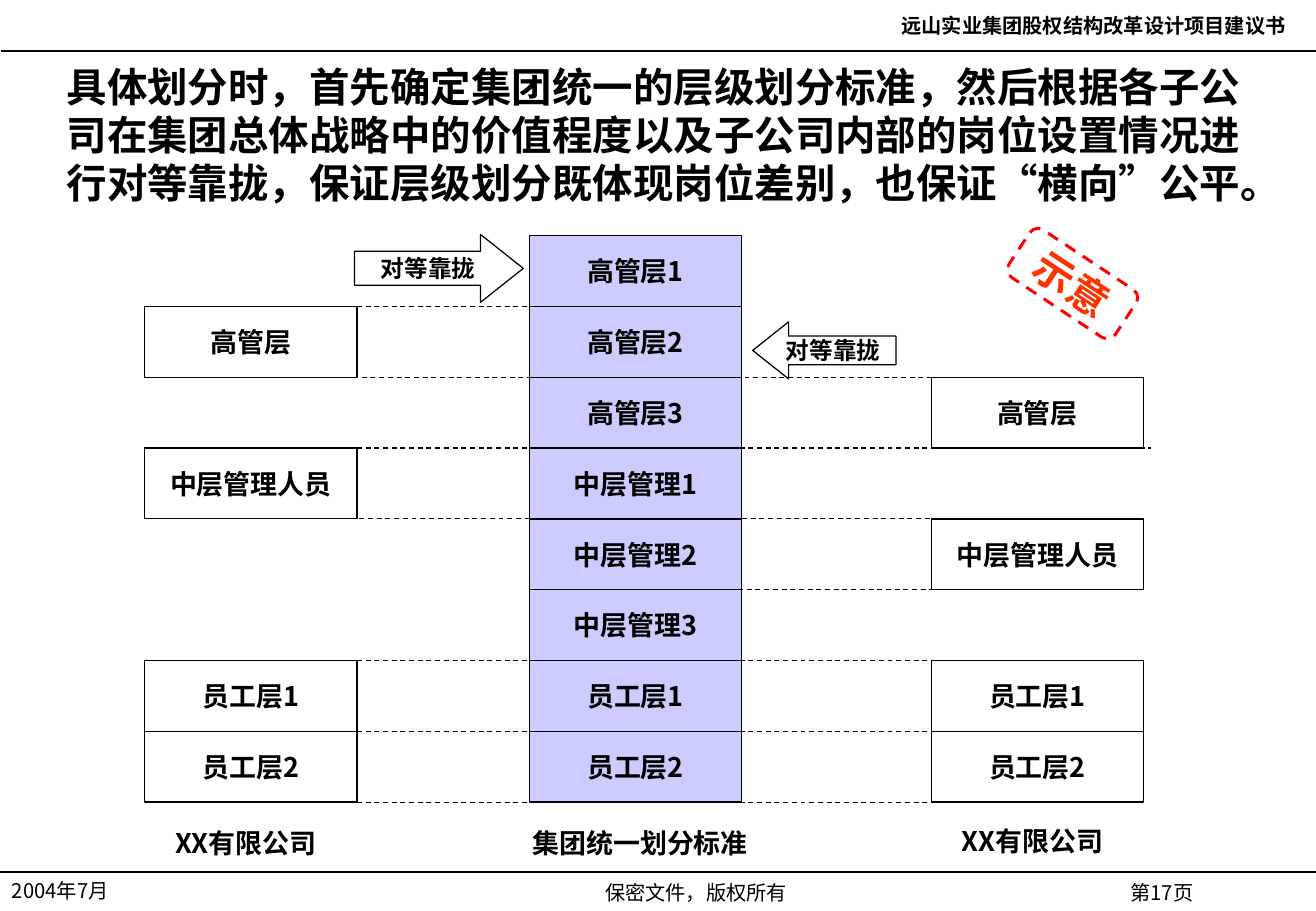
import pptx
import pptx.util
import pptx.oxml.ns
import pptx.dml.color
import pptx.enum.dml
import pptx.enum.shapes
import pptx.enum.text
import lxml.etree

INCH = pptx.util.Inches
SHAPE = pptx.enum.shapes.MSO_SHAPE
ALIGN = pptx.enum.text.PP_ALIGN
DASH = pptx.enum.dml.MSO_LINE.DASH
HUES = {"ink": "000000", "band": "CCCCFF", "edge": "FF0000", "stamp": "FF3300"}
SANS, SERIF = "Noto Sans CJK SC", "Times New Roman"

WIDE, HIGH = 10.84, 7.5
COLS = {"left": 1.19, "mid": 4.36, "right": 7.67}
CELL = 1.75
TOP, ROW = 1.94, 0.583

TIERS = {
    "left": {1: "高管层", 3: "中层管理人员", 6: "员工层1", 7: "员工层2"},
    "mid": dict(enumerate(["高管层1", "高管层2", "高管层3", "中层管理1",
                           "中层管理2", "中层管理3", "员工层1", "员工层2"])),
    "right": {2: "高管层", 4: "中层管理人员", 6: "员工层1", 7: "员工层2"},
}
LINKS = [(1, 2.94, 5.23), (2, 2.98, 7.7), (3, 2.94, 9.48), (4, 2.96, 7.68),
         (5, 4.36, 7.83), (6, 2.94, 7.67), (7, 2.94, 7.67), (8, 2.94, 7.67)]
FEET = [("mid", 4.19, 6.76, "集团统一划分标准"), ("left", 0.94, 6.76, "XX有限公司"),
        ("right", 7.42, 6.74, "XX有限公司")]
TITLE = ("具体划分时，首先确定集团统一的层级划分标准，然后根据各子公司在集团总体战略中的"
         "价值程度以及子公司内部的岗位设置情况进行对等靠拢，保证层级划分既体现岗位差别，"
         "也保证“横向”公平。")


def hue(name):
    return pptx.dml.color.RGBColor.from_string(HUES[name])


def write(frame, text, size, bold=True, face=SANS, tone="ink", align=ALIGN.CENTER):
    frame.text = text
    para = frame.paragraphs[0]
    para.alignment = align
    run = para.runs[0]
    font = run.font
    font.name, font.size, font.bold = face, pptx.util.Pt(size), bold
    font.color.rgb = hue(tone)
    east = lxml.etree.SubElement(font._element, pptx.oxml.ns.qn("a:ea"))
    east.set("typeface", SANS)
    return para


def label(slide, x, y, w, h, text, size, **style):
    box = slide.shapes.add_textbox(INCH(x), INCH(y), INCH(w), INCH(h))
    box.text_frame.word_wrap = True
    write(box.text_frame, text, size, **style)
    return box.text_frame


def block(slide, kind, x, y, w, h, text, size=16, fill=None, line="ink", **style):
    item = slide.shapes.add_shape(kind, INCH(x), INCH(y), INCH(w), INCH(h))
    item.shadow.inherit = False
    if fill:
        item.fill.solid()
        item.fill.fore_color.rgb = hue(fill)
    else:
        item.fill.background()
    item.line.color.rgb = hue(line)
    item.line.width = pptx.util.Pt(0.75)
    frame = item.text_frame
    frame.word_wrap = False
    frame.vertical_anchor = pptx.enum.text.MSO_ANCHOR.MIDDLE
    write(frame, text, size, **style)
    return item


def rule(slide, x, y, end, dash=False):
    line = slide.shapes.add_connector(pptx.enum.shapes.MSO_CONNECTOR.STRAIGHT,
                                      INCH(x), INCH(y), INCH(end), INCH(y))
    line.line.color.rgb = hue("ink")
    line.line.width = pptx.util.Pt(0.75)
    if dash:
        line.line.dash_style = DASH
    lxml.etree.SubElement(line._element.spPr, pptx.oxml.ns.qn("a:effectLst"))


def arrow(slide, kind, x, y, w, h):
    item = block(slide, kind, x, y, w, h, "对等靠拢", 14)
    item.adjustments[0] = 0.5
    item.adjustments[1] = 0.63


def frame_page(slide):
    rule(slide, 0, 7.18, WIDE)
    rule(slide, 0.01, 0.42, WIDE)
    label(slide, 6.9, 0.06, 3.79, 0.3, "远山实业集团股权结构改革设计项目建议书", 12,
          align=ALIGN.RIGHT)
    label(slide, 0, 7.18, 1.81, 0.3, "2004年7月", 12, bold=False, align=ALIGN.LEFT)
    label(slide, 2.8, 7.2, 5.87, 0.3, "保密文件，版权所有", 12, bold=False, face=SERIF)
    label(slide, 8.76, 7.2, 1.62, 0.34, "第17页", 12, bold=False)
    head = label(slide, 0.45, 0.52, 9.92, 1.18, TITLE, 24, face=SERIF, align=ALIGN.LEFT)
    head.vertical_anchor = pptx.enum.text.MSO_ANCHOR.MIDDLE
    head.paragraphs[0].line_spacing = pptx.util.Pt(28.5)


def main():
    deck = pptx.Presentation()
    deck.slide_width, deck.slide_height = INCH(WIDE), INCH(HIGH)
    slide = deck.slides.add_slide(deck.slide_layouts[6])
    frame_page(slide)
    for side, tiers in TIERS.items():
        fill = "band" if side == "mid" else None
        for row, text in tiers.items():
            block(slide, SHAPE.RECTANGLE, COLS[side], TOP + row * ROW, CELL, ROW,
                  text, fill=fill)
    for side, x, y, text in FEET:
        label(slide, x, y, 2.17, 0.37, text, 16)
    arrow(slide, SHAPE.RIGHT_ARROW, 2.92, 1.93, 1.39, 0.56)
    arrow(slide, SHAPE.LEFT_ARROW, 6.2, 2.65, 1.18, 0.47)
    for row, start, end in LINKS:
        rule(slide, start, TOP + row * ROW, end, dash=True)
    stamp = block(slide, SHAPE.FLOWCHART_ALTERNATE_PROCESS, 8.31, 2.1, 1.05, 0.47,
                  "示意", 24, line="edge", face="Arial", tone="stamp")
    stamp.rotation = 33.5
    stamp.line.width = pptx.util.Pt(1.75)
    stamp.line.dash_style = DASH
    deck.save("out.pptx")


if __name__ == "__main__":
    main()
